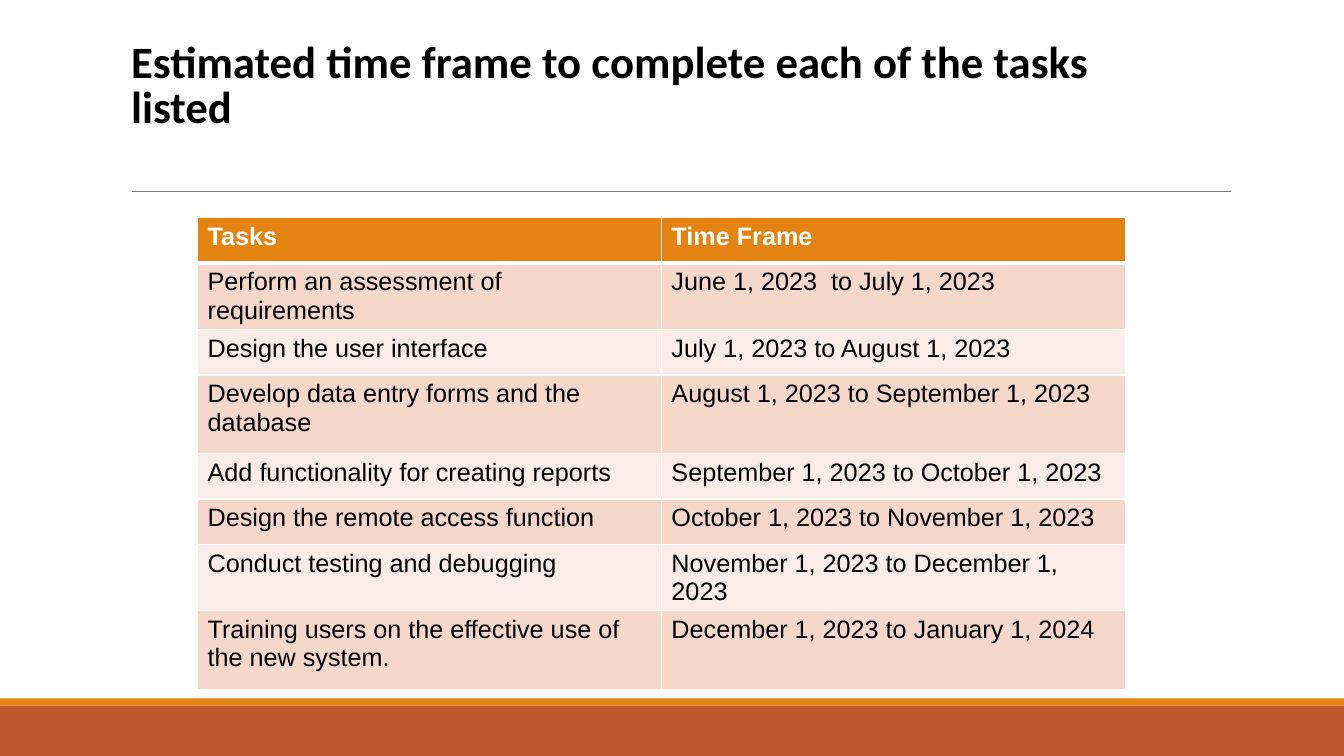
import pptx
import pptx.util
import pptx.dml.color
import pptx.enum.text
import pptx.enum.shapes
import pptx.oxml
import pptx.oxml.ns
from dataclasses import dataclass

Inches = pptx.util.Inches
Pt = pptx.util.Pt

TITLE = "Estimated time frame to complete each of the tasks listed"
ROWS = [
    ("Tasks", "Time Frame"),
    ("Perform an assessment of requirements", "June 1, 2023  to July 1, 2023"),
    ("Design the user interface", "July 1, 2023 to August 1, 2023"),
    ("Develop data entry forms and the database", "August 1, 2023 to September 1, 2023"),
    ("Add functionality for creating reports", "September 1, 2023 to October 1, 2023"),
    ("Design the remote access function", "October 1, 2023 to November 1, 2023"),
    ("Conduct testing and debugging", "November 1, 2023 to December 1, 2023"),
    ("Training users on the effective use of the new system.", "December 1, 2023 to January 1, 2024"),
]
TALL = (3, 7)
LOW, HIGH = 0.45, 0.78
COL = 4.6


@dataclass(frozen=True)
class Theme:
    rust: str = "BD582C"
    orange: str = "E48312"
    gray: str = "7F7F7F"
    white: str = "FFFFFF"
    black: str = "000000"
    bands: tuple = ("FAECE6", "F5D8CA")
    head: str = "Calibri"
    body: str = "Arial"
    big: int = 32
    small: int = 18


theme = Theme()


def color(code):
    return pptx.dml.color.RGBColor.from_string(code)


def write(frame, text, font=theme.body, size=theme.small, tint=theme.black, bold=False, space=None):
    frame.word_wrap = True
    para = frame.paragraphs[0]
    para.alignment = pptx.enum.text.PP_ALIGN.LEFT
    if space:
        para.line_spacing = space
    run = para.add_run()
    run.text = text
    run.font.name = font
    run.font.size = Pt(size)
    run.font.bold = bold
    run.font.color.rgb = color(tint)


def add_bar(slide, top, height, fill):
    bar = slide.shapes.add_shape(pptx.enum.shapes.MSO_SHAPE.RECTANGLE, 0, Inches(top), Inches(13.33), Inches(height))
    bar.shadow.inherit = False
    bar.fill.solid()
    bar.fill.fore_color.rgb = color(fill)
    bar.line.fill.background()


def add_rule(slide):
    rule = slide.shapes.add_connector(
        pptx.enum.shapes.MSO_CONNECTOR.STRAIGHT, Inches(1.31), Inches(1.9), Inches(12.21), Inches(1.9))
    rule.line.color.rgb = color(theme.gray)
    rule.line.width = Pt(0.75)
    props = rule.element.spPr
    props.append(props.makeelement(pptx.oxml.ns.qn("a:effectLst"), {}))


def add_edges(cell, sides):
    props = cell._tc.get_or_add_tcPr()
    for spot, (side, width) in enumerate(sides.items()):
        edge = pptx.oxml.parse_xml(
            f'<a:ln{side} {pptx.oxml.ns.nsdecls("a")} w="{Pt(width)}"><a:solidFill>'
            f'<a:srgbClr val="{theme.white}"/></a:solidFill></a:ln{side}>')
        props.insert(spot, edge)


def add_plan(slide):
    highs = [HIGH if row in TALL else LOW for row in range(len(ROWS))]
    table = slide.shapes.add_table(
        len(ROWS), 2, Inches(1.96), Inches(2.16), Inches(2 * COL), Inches(sum(highs))).table
    for column in table.columns:
        column.width = Inches(COL)
    for row, texts in enumerate(ROWS):
        table.rows[row].height = Inches(highs[row])
        top = row == 0
        for col, text in enumerate(texts):
            cell = table.cell(row, col)
            cell.fill.solid()
            cell.fill.fore_color.rgb = color(theme.orange if top else theme.bands[row % 2])
            add_edges(cell, {"L": 1, "R": 1, "T": 3 if row == 1 else 1, "B": 3 if top else 1})
            write(cell.text_frame, text, tint=theme.white if top else theme.black, bold=top)


def main():
    deck = pptx.Presentation()
    deck.slide_width, deck.slide_height = Inches(13.33), Inches(7.5)
    slide = deck.slides.add_slide(deck.slide_layouts[5])
    add_bar(slide, 7, 0.5, theme.rust)
    add_bar(slide, 6.93, 0.07, theme.orange)
    add_rule(slide)
    title = slide.shapes.title
    title.left, title.top, title.width, title.height = map(Inches, (1.2, 0.29, 10.49, 1.08))
    title.text_frame.auto_size = pptx.enum.text.MSO_AUTO_SIZE.NONE
    title.text_frame.vertical_anchor = pptx.enum.text.MSO_ANCHOR.BOTTOM
    write(title.text_frame, TITLE, font=theme.head, size=theme.big, bold=True, space=0.85)
    add_plan(slide)
    deck.save("out.pptx")


if __name__ == "__main__":
    main()
